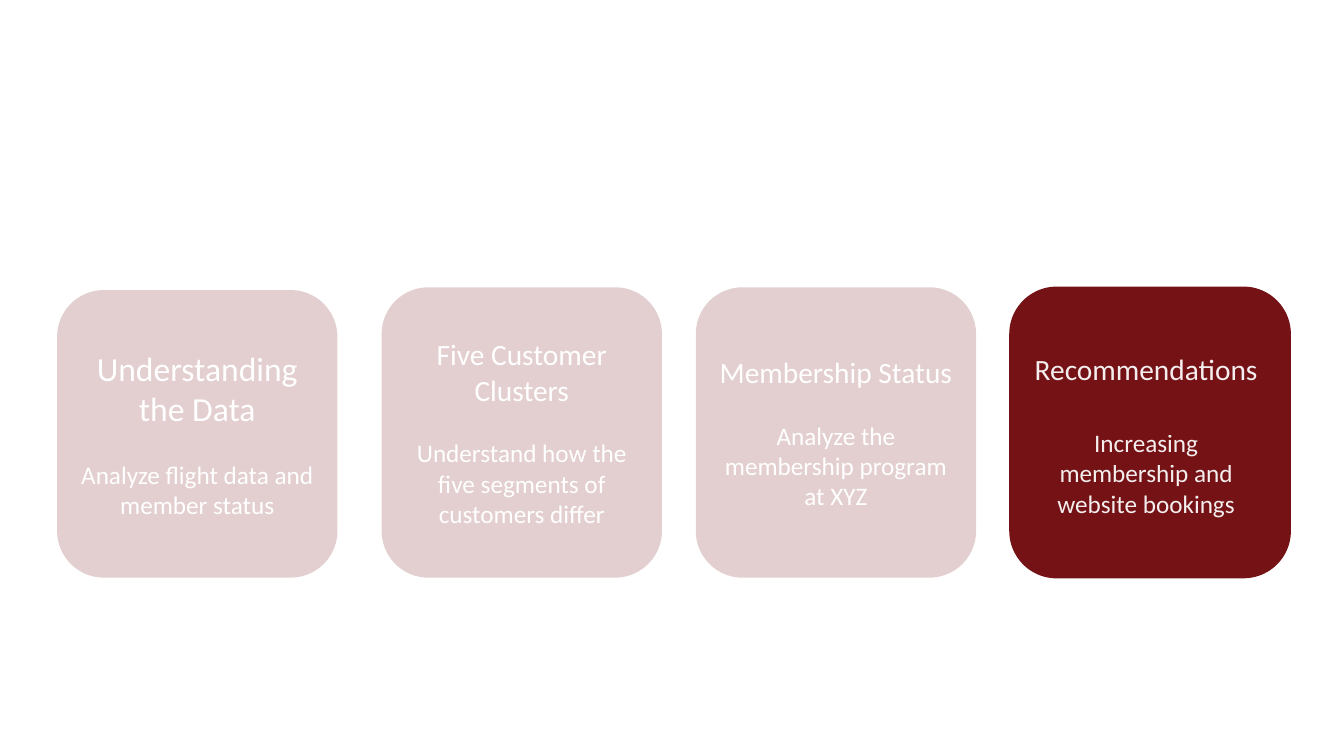
from dataclasses import dataclass

from lxml import etree
from pptx import Presentation
from pptx.dml.color import RGBColor
from pptx.enum.shapes import MSO_SHAPE
from pptx.enum.text import MSO_ANCHOR, PP_ALIGN
from pptx.oxml.ns import qn
from pptx.slide import Slide
from pptx.util import Pt

ROUNDED = MSO_SHAPE.ROUNDED_RECTANGLE
MIDDLE = MSO_ANCHOR.MIDDLE
CENTER = PP_ALIGN.CENTER


@dataclass(frozen=True)
class Theme:
    font: str = "Calibri"
    maroon: RGBColor = RGBColor(0x74, 0x12, 0x15)
    white: RGBColor = RGBColor(0xFF, 0xFF, 0xFF)
    first_heading: float = 24
    heading: float = 21
    body: float = 18
    faded: int = 20
    soft_text: int = 92


@dataclass(frozen=True)
class Step:
    heading: str
    body: str
    left: float
    top: float = 205.2
    heading_size: float = Theme.heading
    gap: float = 22
    top_inset: float = 3.6
    heading_indent: float = 0
    active: bool = False


THEME = Theme()
CARD_WIDTH = 200.2
CARD_BOTTOM = 412.6
SECOND_LEFT = 272.6
CARD_PITCH = 224.4

STEPS = [
    Step("Understanding the Data", "Analyze flight data and member status",
         40.8, top=207.2, heading_size=THEME.first_heading),
    Step("Five Customer Clusters",
         "Understand how the five segments of customers differ", SECOND_LEFT),
    Step("Membership Status", "Analyze the membership program at XYZ",
         SECOND_LEFT + CARD_PITCH),
    Step("Recommendations", "Increasing membership and website bookings",
         SECOND_LEFT + 2 * CARD_PITCH, gap=29.6, top_inset=6.4,
         heading_indent=5.6, active=True),
]


def set_alpha(props: etree._Element, percent: int) -> None:
    color = props.find(qn("a:solidFill"))[0]
    etree.SubElement(color, qn("a:alpha"), val=str(percent * 1000))


def add_line(p, text: str, size: float, alpha: int = 100) -> None:
    p.alignment = CENTER
    r = p.add_run()
    r.text = text
    for name, value in {"name": THEME.font, "size": Pt(size)}.items():
        setattr(r.font, name, value)
    r.font.color.rgb = THEME.white
    if alpha < 100:
        set_alpha(r.font._element, alpha)


def add_step(s: Slide, step: Step) -> None:
    sp = s.shapes.add_shape(ROUNDED, Pt(step.left), Pt(step.top),
                            Pt(CARD_WIDTH), Pt(CARD_BOTTOM - step.top))
    sp.shadow.inherit = False
    sp.fill.solid()
    sp.fill.fore_color.rgb = THEME.maroon
    if step.active:
        sp.line.color.rgb = THEME.maroon
        sp.line.width = Pt(1)
    else:
        set_alpha(sp._element.spPr, THEME.faded)
        sp.line.fill.background()

    tf = sp.text_frame
    frame = {"word_wrap": True, "vertical_anchor": MIDDLE,
             "margin_top": Pt(step.top_inset)}
    for name, value in frame.items():
        setattr(tf, name, value)
    alpha = THEME.soft_text if step.active else 100
    p = tf.paragraphs[0]
    add_line(p, step.heading, step.heading_size, alpha)
    if step.heading_indent:
        p._p.get_or_add_pPr().set("marR", str(Pt(step.heading_indent)))
    p = tf.add_paragraph()
    p.space_before = Pt(step.gap)
    add_line(p, step.body, THEME.body, alpha)


def main() -> None:
    prs = Presentation()
    prs.slide_width = Pt(960)
    prs.slide_height = Pt(540)
    s = prs.slides.add_slide(prs.slide_layouts[6])
    for step in STEPS:
        add_step(s, step)
    prs.save("out.pptx")


if __name__ == "__main__":
    main()
